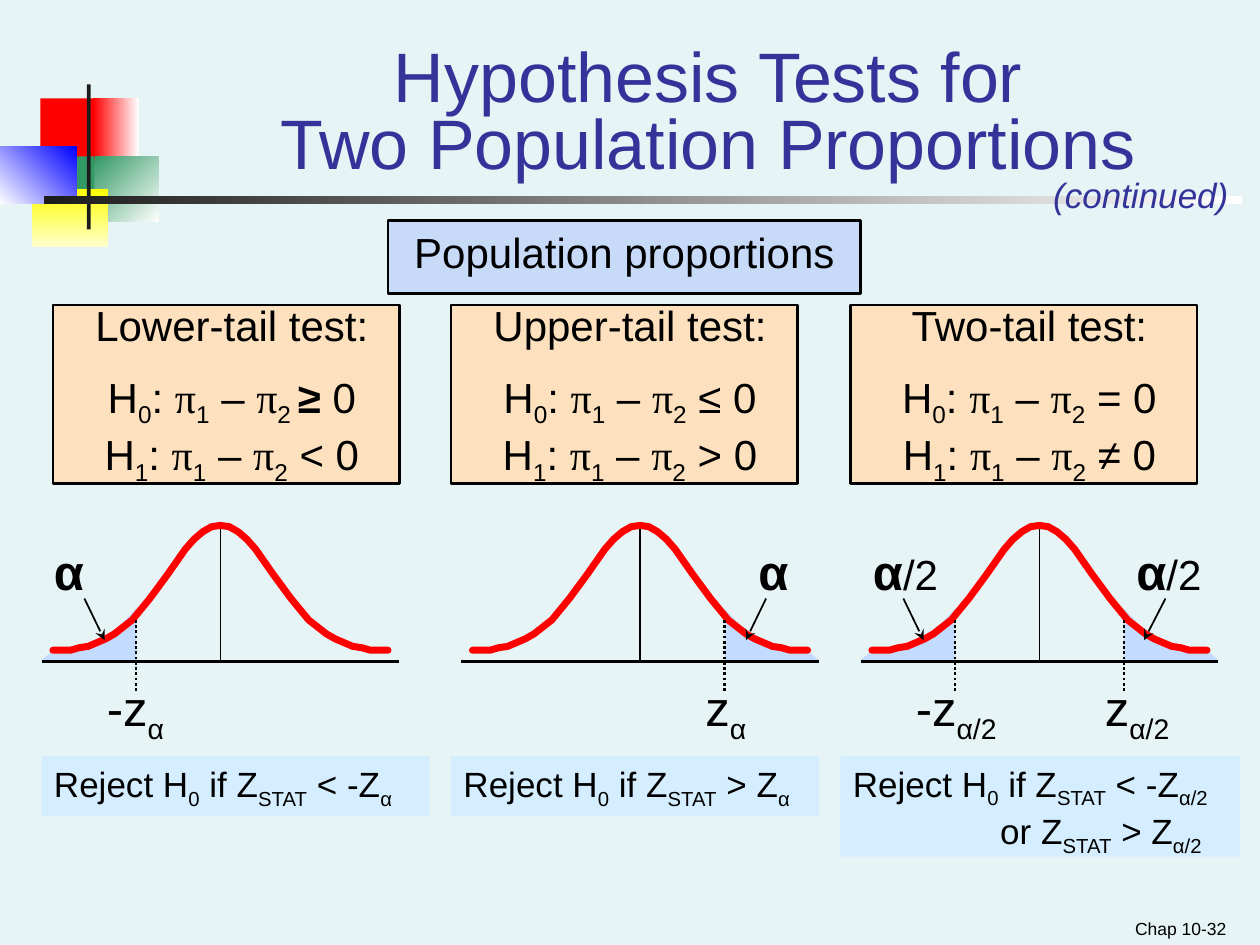
from itertools import groupby

from lxml.etree import SubElement
from pptx import Presentation
from pptx.dml.color import RGBColor
from pptx.enum.dml import MSO_LINE
from pptx.enum.shapes import MSO_CONNECTOR, MSO_SHAPE
from pptx.enum.text import MSO_ANCHOR, PP_ALIGN
from pptx.oxml.ns import qn
from pptx.util import Inches, Pt

BLACK, NAVY, RED = "000000", "333399", "FF0000"
PEACH, PERIWINKLE, TAIL_BLUE, PALE_BLUE = "FDE0BD", "C7DAF7", "C3DBFF", "D5EEFF"

# left, top, width, height, start colour, end colour, clockwise angle
ORNAMENTS = [
    (0.32, 0.78, 0.48, 0.52, "FF0000", None, 0),
    (0.74, 0.78, 0.36, 0.52, "FF0000", "FFFFFF", 0),
    (0.75, 1.24, 0.51, 0.52, "339966", "FFFFFF", 45),
    (0.43, 1.24, 0.32, 0.52, "339966", None, 0),
    (0.25, 1.5, 0.61, 0.46, "FFFF00", "FFFFCC", 90),
    (0, 1.16, 0.61, 0.46, "FFFFFF", "0000FF", 315),
    (0.69, 0.67, 0.03, 1.15, "1C1C1C", None, 0),
    (0.35, 1.56, 9.51, 0.06, "1C1C1C", "FFFFFF", 0),
]

# Distance from the centre of the curve, and height on the slide
HALF_CURVE = [
    (1.33, 5.16), (1.19, 5.16), (1.12, 5.14), (1.05, 5.13), (0.98, 5.1), (0.91, 5.07),
    (0.84, 5.03), (0.7, 4.92), (0.56, 4.75), (0.42, 4.56), (0.35, 4.46), (0.28, 4.36),
    (0.21, 4.28), (0.14, 4.22), (0.07, 4.18), (0, 4.17),
]
TAIL = [
    (1.42, 5.24), (1.35, 5.18), (1.1, 5.13), (0.97, 5.09),
    (0.82, 4.99), (0.67, 4.83), (0.67, 5.25), (1.42, 5.25),
]
CUTOFF, HALF_AXIS, AXIS_TOP = 0.67, 1.42, 5.25

# Each tail: side, alpha left, alpha text, z left, z text, arrow start, arrow end;
# positions are measured from the centre of the curve
TESTS = [
    {"name": "Lower-tail test:", "left": 0.42, "center": 1.75,
     "null": "H_0_: π_1_ – π_2 _*≥* 0", "alternative": "H_1_: π_1_ – π_2_ < 0",
     "tails": [(-1, -1.42, "*α*", -1, "-z_α_", -1.08, -0.92)],
     "rule": (0.33, 3.08, 0.48), "reject": ["Reject H_0_ if Z_STAT_ < -Z_α_"]},
    {"name": "Upper-tail test:", "left": 3.58, "center": 5.08,
     "null": "H_0_: π_1_ – π_2_ ≤ 0", "alternative": "H_1_: π_1_ – π_2_ > 0",
     "tails": [(1, 0.84, "*α*", 0.42, "z_α_", 1, 0.84)],
     "rule": (3.58, 2.92, 0.48), "reject": ["Reject H_0_ if Z_STAT_ > Z_α_"]},
    {"name": "Two-tail test:", "left": 6.75, "center": 8.25,
     "null": "H_0_: π_1_ – π_2_ = 0", "alternative": "H_1_: π_1_ – π_2_ ≠ 0",
     "tails": [(-1, -1.42, "*α*/2", -1.08, "-z_α/2_", -1.08, -0.92),
               (1, 0.67, "*α*/2", 0.42, "z_α/2_", 1, 0.83)],
     "rule": (6.67, 3.17, 0.8),
     "reject": ["Reject H_0_ if Z_STAT_ < -Z_α/2_", "or Z_STAT_ > Z_α/2_"]},
]


def color(value):
    return RGBColor.from_string(value)


def set_line(shape, value, width):
    shape.line.color.rgb = color(value)
    shape.line.width = Pt(width)


def add_box(slide, left, top, width, height, fill, end=None, angle=0, outline=None):
    box = slide.shapes.add_shape(
        MSO_SHAPE.RECTANGLE, *map(Inches, (left, top, width, height)))
    box.shadow.inherit = False
    if end:
        box.fill.gradient()
        box.fill.gradient_angle = (360 - angle) % 360
        for stop, value in zip(box.fill.gradient_stops, (fill, end)):
            stop.color.rgb = color(value)
    else:
        box.fill.solid()
        box.fill.fore_color.rgb = color(fill)
    if outline:
        set_line(box, outline, 1.5)
    else:
        box.line.fill.background()
    return box


def add_outline(slide, points, closed):
    """Draw a filled tail area if closed, otherwise one half of the curve."""
    corners = [(Inches(x), Inches(y)) for x, y in points]
    builder = slide.shapes.build_freeform(*corners[0], scale=1.0)
    builder.add_line_segments(corners[1:], close=closed)
    shape = builder.convert_to_shape()
    shape.shadow.inherit = False
    if closed:
        shape.fill.solid()
        shape.fill.fore_color.rgb = color(TAIL_BLUE)
        shape.line.fill.background()
    else:
        shape.fill.background()
        set_line(shape, RED, 4)
        shape.element.spPr.find(qn("a:ln")).set("cap", "rnd")


def add_line(slide, start, end, width, dash=None, arrow=False):
    line = slide.shapes.add_connector(
        MSO_CONNECTOR.STRAIGHT, *map(Inches, (*start, *end)))
    set_line(line, BLACK, width)
    if dash:
        line.line.dash_style = dash
    properties = line.element.spPr
    if arrow:
        SubElement(properties.find(qn("a:ln")), qn("a:tailEnd"), type="stealth")
    SubElement(properties, qn("a:effectLst"))


def write_runs(para, text, bold_size=None, **formats):
    """Write text in which _..._ is subscript and *...* is bold."""
    states, subscript, bold = [], False, False
    for letter in text:
        if letter == "_":
            subscript = not subscript
        elif letter == "*":
            bold = not bold
        else:
            states.append((letter, (subscript, bold, letter == "π")))
    for (subscript, bold, greek), letters in groupby(states, key=lambda state: state[1]):
        span = para.add_run()
        span.text = "".join(letter for letter, _ in letters)
        values = {"name": "Times New Roman" if greek else "Arial", "bold": bold, **formats}
        values["size"] = Pt(bold_size if bold and bold_size else formats["size"])
        ink = values.pop("ink", BLACK)
        for name, value in values.items():
            setattr(span.font, name, value)
        span.font.color.rgb = color(ink)
        if subscript:
            span.font._element.set("baseline", "-25000")


def write_lines(shape, lines, align=PP_ALIGN.LEFT, anchor=MSO_ANCHOR.TOP, wrap=True, **formats):
    frame = shape.text_frame
    frame.word_wrap = wrap
    frame.vertical_anchor = anchor
    for number, text in enumerate(lines):
        para = frame.add_paragraph() if number else frame.paragraphs[0]
        para.alignment = align
        write_runs(para, text, **formats)
    return frame.paragraphs


def add_text(slide, left, top, width, height, lines, **formats):
    box = slide.shapes.add_textbox(*map(Inches, (left, top, width, height)))
    return write_lines(box, lines, **formats)


def add_title(slide):
    title = slide.shapes.title
    title.left, title.top, title.width, title.height = map(Inches, (1.58, 0.42, 8.08, 1.08))
    para = write_lines(title, ["Hypothesis Tests for"], align=PP_ALIGN.CENTER,
                       anchor=MSO_ANCHOR.BOTTOM, size=40, ink=NAVY)[0]
    para.line_spacing = 0.8
    para.add_line_break()
    write_runs(para, "Two Population Proportions", size=40, ink=NAVY)


def add_hypotheses(slide, test):
    add_box(slide, test["left"], 2.42, 2.75, 1.42, PEACH, outline=BLACK)
    lines = [test["name"], test["null"], test["alternative"]]
    paras = add_text(slide, test["left"] - 0.08, 2.33, 3, 1.58, lines,
                     align=PP_ALIGN.CENTER, size=24)
    paras[1].space_before = Pt(12)


def add_distribution(slide, center, tails):
    add_line(slide, (center, 4.17), (center, AXIS_TOP), 0.75)
    for side, *_ in tails:
        add_outline(slide, [(center + side * x, y) for x, y in TAIL], closed=True)
    for side in (-1, 1):
        add_outline(slide, [(center + side * x, y) for x, y in HALF_CURVE], closed=False)
    add_line(slide, (center - HALF_AXIS, AXIS_TOP), (center + HALF_AXIS, AXIS_TOP), 2)
    for side, alpha_left, alpha, z_left, z_text, arrow_start, arrow_end in tails:
        width = 0.92 if "/" in alpha else 0.42
        add_text(slide, center + alpha_left, 4.25, width, 0.56, [alpha], size=24, bold_size=28)
        add_line(slide, (center + arrow_start, 4.75), (center + arrow_end, 5.08), 1, arrow=True)
        add_text(slide, center + z_left, 5.33, 1.08, 0.63, [z_text], size=28)
        cutoff = center + side * CUTOFF
        add_line(slide, (cutoff, 4.92), (cutoff, 5.5), 1.5, dash=MSO_LINE.ROUND_DOT)


def add_rejection_rule(slide, left, width, height, lines):
    box = add_box(slide, left, 6, width, height, PALE_BLUE)
    for para in write_lines(box, lines, size=20)[1:]:
        para.line_spacing = 0.9
        properties = para._p.get_or_add_pPr()
        properties.set("marL", str(Inches(1.17)))
        properties.set("indent", "0")


def main():
    deck = Presentation()
    deck.slide_width, deck.slide_height = Inches(10), Inches(7.5)
    slide = deck.slides.add_slide(deck.slide_layouts[5])
    slide.background.fill.solid()
    slide.background.fill.fore_color.rgb = color("E7F4F5")
    for ornament in ORNAMENTS:
        add_box(slide, *ornament)
    add_title(slide)
    add_box(slide, 3.08, 1.75, 3.75, 0.58, PERIWINKLE, outline=BLACK)
    add_text(slide, 3.08, 1.75, 3.75, 0.5, ["Population proportions"],
             align=PP_ALIGN.CENTER, size=24)
    for test in TESTS:
        add_hypotheses(slide, test)
        add_distribution(slide, test["center"], test["tails"])
        add_rejection_rule(slide, *test["rule"], test["reject"])
    add_text(slide, 8.26, 1.33, 1.59, 0.44, ["(continued)"],
             wrap=False, size=20, ink=NAVY, italic=True)
    add_text(slide, 7.5, 7.15, 2.33, 0.35, ["Chap 10-32"],
             align=PP_ALIGN.RIGHT, anchor=MSO_ANCHOR.BOTTOM, size=10)
    deck.save("out.pptx")


if __name__ == "__main__":
    main()
